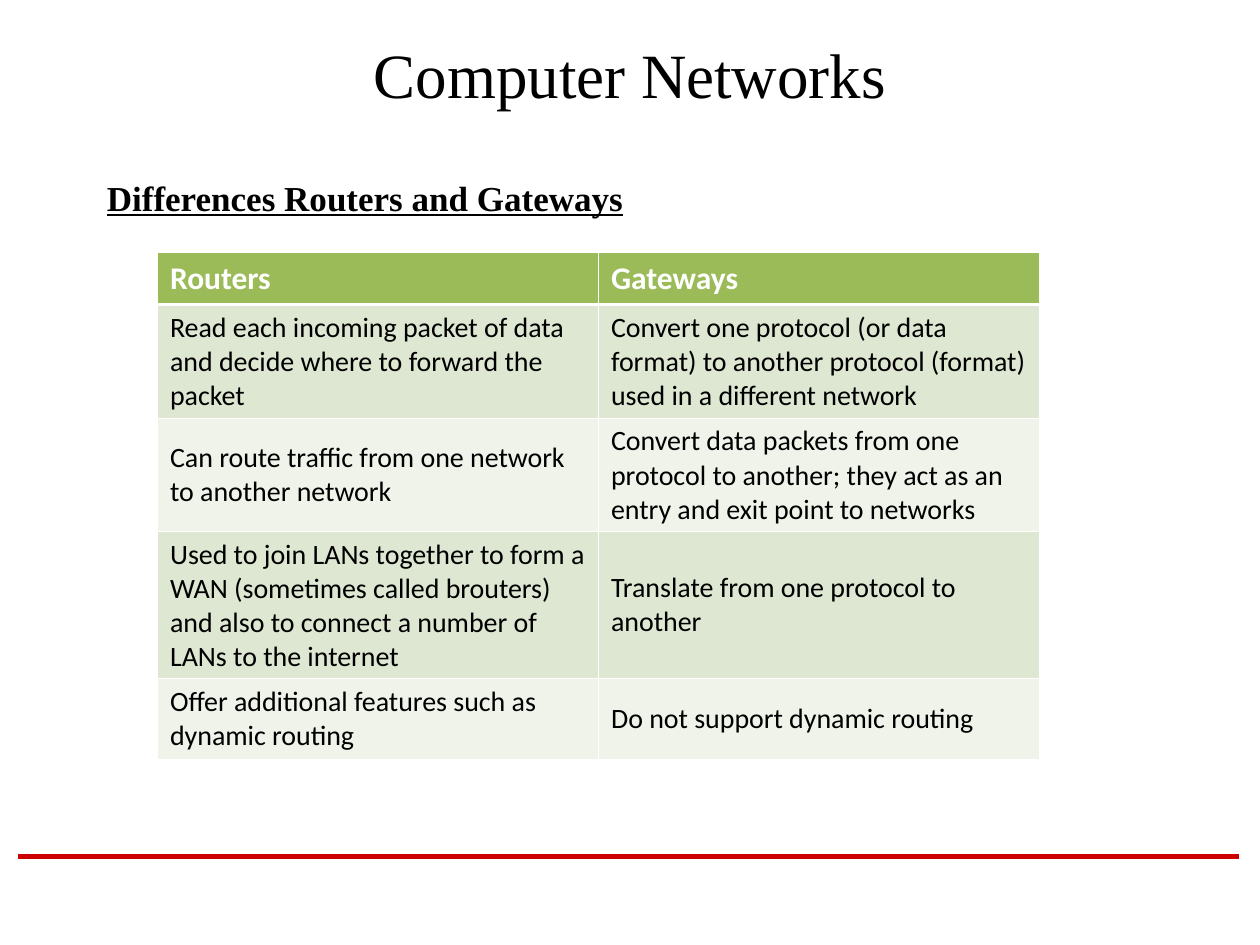
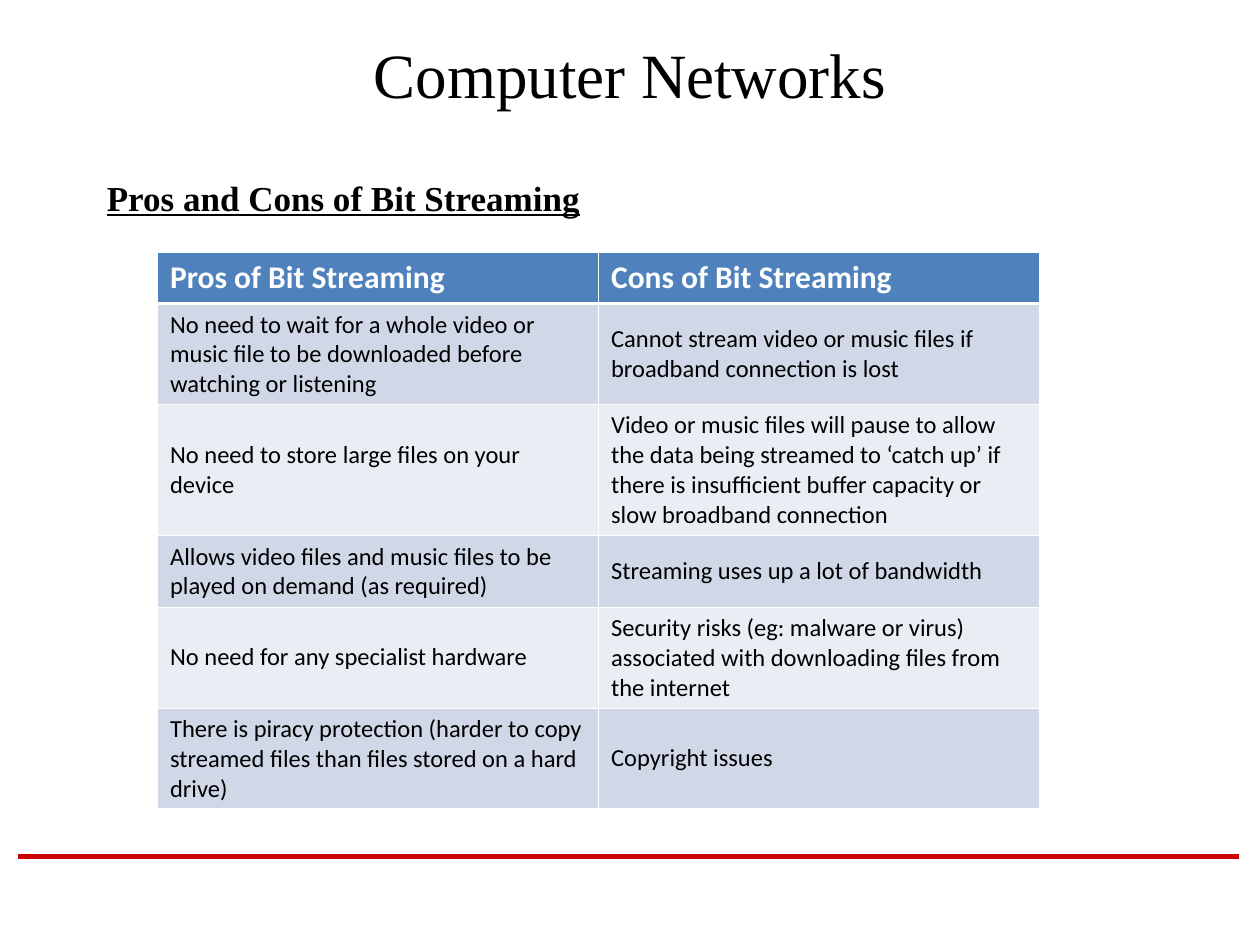
from dataclasses import dataclass

from lxml import etree
from pptx import Presentation
from pptx.dml.color import RGBColor
from pptx.enum.shapes import MSO_CONNECTOR
from pptx.enum.text import MSO_ANCHOR, PP_ALIGN
from pptx.oxml.ns import qn
from pptx.util import Inches, Pt

STRAIGHT = MSO_CONNECTOR.STRAIGHT
TOP, MIDDLE = MSO_ANCHOR.TOP, MSO_ANCHOR.MIDDLE
LEFT, CENTER = PP_ALIGN.LEFT, PP_ALIGN.CENTER

COLORS = {
    "ink": "000000", "paper": "FFFFFF", "rule": "CC0000",
    "green": "9BBB59", "green_dark": "DEE7D1", "green_light": "EFF3EA",
    "blue": "4F81BD", "blue_dark": "D0D8E8", "blue_light": "E9EDF4",
}
SERIF, SANS = "Times New Roman", "Calibri"

# Grid: 120 columns by 90 rows on a 10 by 7.5 inch slide
SLIDE_W, SLIDE_H = Inches(10), Inches(7.5)
COL, ROW = SLIDE_W / 120, SLIDE_H / 90


@dataclass
class Box:
    col: float
    row: float
    cols: float
    rows: float = 0

    def emu(self):
        return (round(self.col * COL), round(self.row * ROW),
                round(self.cols * COL), round(self.rows * ROW))


TITLE_BOX = Box(9, 2, 102, 10)
HEADING_BOX = Box(9, 17, 102, 61)
RULE_BOX = Box(1.7, 81.6, 116.3)

TITLE_FONT = {"name": SERIF, "size": Pt(36)}
HEADING_FONT = {"name": SERIF, "size": Pt(20), "bold": True, "underline": True}
HEADER_FONT = {"name": SANS, "size": Pt(18), "bold": True}

THIN, THICK = 0.45, 1.47  # cell border widths in points

TABLES = [
    {
        "heading": "Differences Routers and Gateways",
        "theme": "green",
        "size": 16,
        "heights": [5, 10.8, 10.8, 14, 7.7],
        "rows": [
            ("Routers", "Gateways"),
            ("Read each incoming packet of data and decide where to forward the packet",
             "Convert one protocol (or data format) to another protocol (format) "
             "used in a different network"),
            ("Can route traffic from one network to another network",
             "Convert data packets from one protocol to another; they act as an "
             "entry and exit point to networks"),
            ("Used to join LANs together to form a WAN (sometimes called brouters) "
             "and also to connect a number of LANs to the internet",
             "Translate from one protocol to another"),
            ("Offer additional features such as dynamic routing",
             "Do not support dynamic routing"),
        ],
    },
    {
        "heading": "Pros and Cons of Bit Streaming",
        "theme": "blue",
        "size": 14,
        "heights": [4.9, 9.6, 12.5, 6.8, 9.6, 9.6],
        "rows": [
            ("Pros of Bit Streaming", "Cons of Bit Streaming"),
            ("No need to wait for a whole video or music file to be downloaded "
             "before watching or listening",
             "Cannot stream video or music files if broadband connection is lost"),
            ("No need to store large files on your device",
             "Video or music files will pause to allow the data being streamed to "
             "‘catch up’ if there is insufficient buffer capacity or slow "
             "broadband connection"),
            ("Allows video files and music files to be played on demand (as required)",
             "Streaming uses up a lot of bandwidth"),
            ("No need for any specialist hardware",
             "Security risks (eg: malware or virus) associated with downloading "
             "files from the internet"),
            ("There is piracy protection (harder to copy streamed files than files "
             "stored on a hard drive)",
             "Copyright issues"),
        ],
    },
]


def rgb(color):
    return RGBColor.from_string(COLORS[color])


def write(frame, text, font, color="ink", align=LEFT):
    paragraph = frame.paragraphs[0]
    paragraph.alignment = align
    run = paragraph.add_run()
    run.text = text
    for attribute, value in font.items():
        setattr(run.font, attribute, value)
    run.font.color.rgb = rgb(color)
    return paragraph


def space_before(paragraph, size):
    """Leave a quarter of the text size above the paragraph."""
    paragraph.space_before = Pt(size / 4)


def text_frame(slide, box, anchor):
    frame = slide.shapes.add_textbox(*box.emu()).text_frame
    frame.word_wrap = True
    frame.vertical_anchor = anchor
    return frame


def add_title(slide, box):
    write(text_frame(slide, box, MIDDLE), "Computer Networks", TITLE_FONT, align=CENTER)


def add_heading(slide, box, text):
    paragraph = write(text_frame(slide, box, TOP), text, HEADING_FONT)
    paragraph.line_spacing = 0.8
    space_before(paragraph, 20)
    hanging = Inches(0.38)
    properties = paragraph._p.get_or_add_pPr()
    properties.set("marL", str(hanging))
    properties.set("indent", str(-hanging))


def add_rule(slide, box):
    left, top, width, _ = box.emu()
    rule = slide.shapes.add_connector(STRAIGHT, left, top, left + width, top)
    rule.line.color.rgb = rgb("rule")
    rule.line.width = Pt(3)
    etree.SubElement(rule._element.spPr, qn("a:effectLst"))


def add_borders(cell, top, bottom):
    sides = {"lnL": THIN, "lnR": THIN, "lnT": top, "lnB": bottom}
    properties = cell._tc.get_or_add_tcPr()
    for position, (side, width) in enumerate(sides.items()):
        line = etree.Element(qn(f"a:{side}"), w=str(Pt(width)))
        fill = etree.SubElement(line, qn("a:solidFill"))
        etree.SubElement(fill, qn("a:srgbClr"), val=COLORS["paper"])
        properties.insert(position, line)


def add_comparison(slide, box, content):
    rows, theme, size = content["rows"], content["theme"], content["size"]
    table = slide.shapes.add_table(len(rows), 2, *box.emu()).table
    table.horz_banding = False
    for column in table.columns:
        column.width = round(box.cols * COL / 2)
    for r, (texts, height) in enumerate(zip(rows, content["heights"])):
        table.rows[r].height = round(height * ROW)
        # Header row, then alternating dark and light bands
        if r == 0:
            fill, color, font, text_size = theme, "paper", HEADER_FONT, 18
        else:
            fill = f"{theme}_{'dark' if r % 2 else 'light'}"
            color, text_size = "ink", size
            font = {"name": SANS, "size": Pt(size), "bold": False}
        for cell, text in zip(table.rows[r].cells, texts):
            cell.vertical_anchor = MIDDLE
            cell.fill.solid()
            cell.fill.fore_color.rgb = rgb(fill)
            space_before(write(cell.text_frame, text, font, color), text_size)
            add_borders(cell, THICK if r == 1 else THIN, THICK if r == 0 else THIN)


def add_comparison_slide(deck, content):
    slide = deck.slides.add_slide(deck.slide_layouts[6])
    add_rule(slide, RULE_BOX)
    add_title(slide, TITLE_BOX)
    add_heading(slide, HEADING_BOX, content["heading"])
    add_comparison(slide, Box(15, 24, 84, sum(content["heights"])), content)


def main():
    deck = Presentation()
    deck.slide_width, deck.slide_height = SLIDE_W, SLIDE_H
    for content in TABLES:
        add_comparison_slide(deck, content)
    deck.save("out.pptx")


if __name__ == "__main__":
    main()
